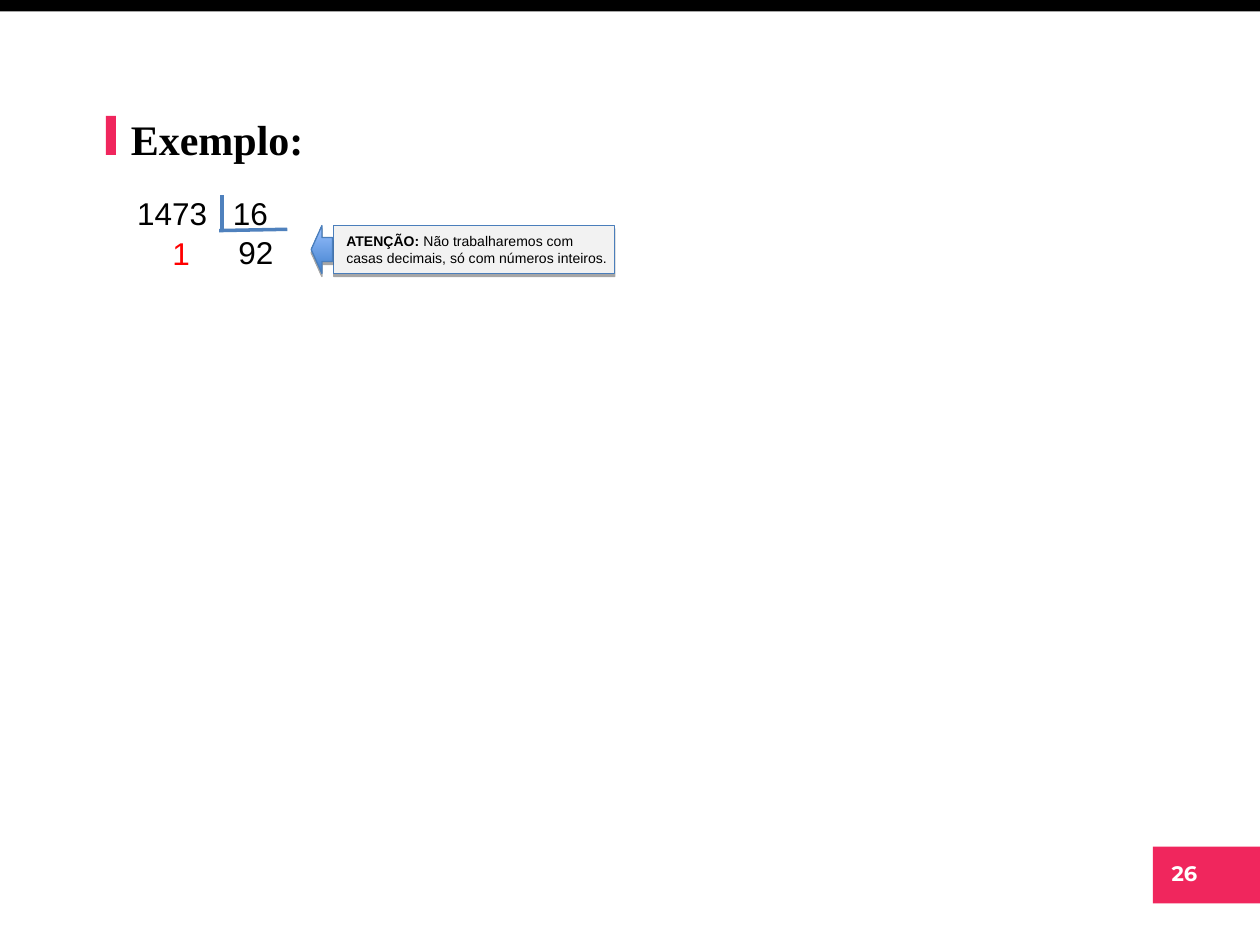
from typing import NamedTuple

from lxml.etree import SubElement
from pptx import Presentation
from pptx.dml.color import RGBColor
from pptx.enum.shapes import MSO_CONNECTOR as Connector, MSO_SHAPE as Preset
from pptx.enum.text import MSO_ANCHOR as Anchor, PP_ALIGN as Align
from pptx.oxml.ns import qn
from pptx.util import Inches, Pt

PINK = "F0265D"
LINE_BLUE = "4F81BD"
EDGE_BLUE = "4A7EBB"


class Box(NamedTuple):
    left: float
    top: float
    width: float
    height: float


class Panel(NamedTuple):
    box: Box
    fill: str


class Number(NamedTuple):
    text: str
    box: Box
    color: str = "000000"
    align: Align = Align.LEFT


class Stroke(NamedTuple):
    start: tuple[float, float]
    end: tuple[float, float]


PANELS = [
    Panel(Box(0, 0, 10, 0.09), "000000"),
    Panel(Box(9.15, 6.72, 0.86, 0.45), PINK),
    Panel(Box(0.84, 0.92, 0.08, 0.31), PINK),
]
DIVISION = [
    Number("1473", Box(0.99, 1.49, 0.76, 0.4)),
    Number("16", Box(1.75, 1.49, 0.6, 0.4)),
    Number("92", Box(1.77, 1.8, 0.52, 0.4), align=Align.CENTER),
    Number("1", Box(1.27, 1.81, 0.35, 0.4), color="FF0000"),
]
BRACKET = [Stroke((1.76, 1.55), (1.76, 1.82)), Stroke((1.74, 1.83), (2.28, 1.82))]


def rgb(value: str) -> RGBColor:
    return RGBColor.from_string(value)


def inches(box: Box) -> list[Inches]:
    return [Inches(value) for value in box]


def add_shape(slide, preset, box: Box, fill: str | None = None, line: str | None = None):
    shape = slide.shapes.add_shape(preset, *inches(box))
    shape.shadow.inherit = False
    if fill:
        shape.fill.solid()
        shape.fill.fore_color.rgb = rgb(fill)
    if line:
        shape.line.color.rgb = rgb(line)
        shape.line.width = Pt(0.75)
    else:
        shape.line.fill.background()
    return shape


def add_text(slide, box: Box, *texts: str, size: float, font: str = "Arial",
             color: str = "000000", bold: tuple[bool, ...] = (False,),
             align: Align = Align.LEFT, margin_top: float = 0.05) -> None:
    frame = slide.shapes.add_textbox(*inches(box)).text_frame
    frame.word_wrap = True
    frame.vertical_anchor = Anchor.TOP
    frame.margin_top = Inches(margin_top)
    paragraph = frame.paragraphs[0]
    paragraph.alignment = align
    for text, is_bold in zip(texts, bold):
        run = paragraph.add_run()
        run.text = text
        run.font.name = font
        run.font.size = Pt(size)
        run.font.bold = is_bold
        run.font.color.rgb = rgb(color)


def add_stroke(slide, stroke: Stroke) -> None:
    points = [Inches(value) for value in stroke.start + stroke.end]
    connector = slide.shapes.add_connector(Connector.STRAIGHT, *points)
    connector.line.color.rgb = rgb(LINE_BLUE)
    connector.line.width = Pt(2)
    SubElement(connector._element.spPr, qn("a:effectLst"))


def add_drop_shadow(shape) -> None:
    effects = shape._element.spPr.find(qn("a:effectLst"))
    shadow = SubElement(effects, qn("a:outerShdw"), blurRad="0", dist=str(Pt(1.8)),
                        dir="5400000", rotWithShape="0")
    color = SubElement(shadow, qn("a:srgbClr"), val="000000")
    SubElement(color, qn("a:alpha"), val="35000")


def add_callout(slide) -> None:
    panel = add_shape(slide, Preset.RECTANGLE, Box(2.65, 1.79, 2.23, 0.38),
                      fill="F2F2F2", line=EDGE_BLUE)
    add_drop_shadow(panel)
    add_text(slide, Box(2.65, 1.8, 2.29, 0.37), "ATENÇÃO:",
             " Não trabalharemos com casas decimais, só com números inteiros.",
             size=8, bold=(True, False))
    arrow = add_shape(slide, Preset.LEFT_ARROW, Box(2.47, 1.79, 0.17, 0.38), line=EDGE_BLUE)
    arrow.fill.gradient()
    arrow.fill.gradient_angle = 90
    for stop, color in zip(arrow.fill.gradient_stops, ("3F80CD", "9BC1FF")):
        stop.color.rgb = rgb(color)
    add_drop_shadow(arrow)


def main() -> None:
    presentation = Presentation()
    presentation.slide_width = Inches(10)
    presentation.slide_height = Inches(7.5)
    slide = presentation.slides.add_slide(presentation.slide_layouts[6])
    for panel in PANELS:
        add_shape(slide, Preset.RECTANGLE, panel.box, fill=panel.fill)
    add_text(slide, Box(8.87, 6.78, 1.06, 0.33), "26", size=12, font="Montserrat",
             color="FFFFFF", bold=(True,), align=Align.CENTER)
    add_text(slide, Box(0.94, 0.81, 5.12, 0.88), "Exemplo:", size=24,
             font="Times New Roman", bold=(True,), align=Align.JUSTIFY, margin_top=0.09)
    for number in DIVISION:
        add_text(slide, number.box, number.text, size=18, color=number.color,
                 align=number.align)
    for stroke in BRACKET:
        add_stroke(slide, stroke)
    add_callout(slide)
    presentation.save("out.pptx")


if __name__ == "__main__":
    main()
